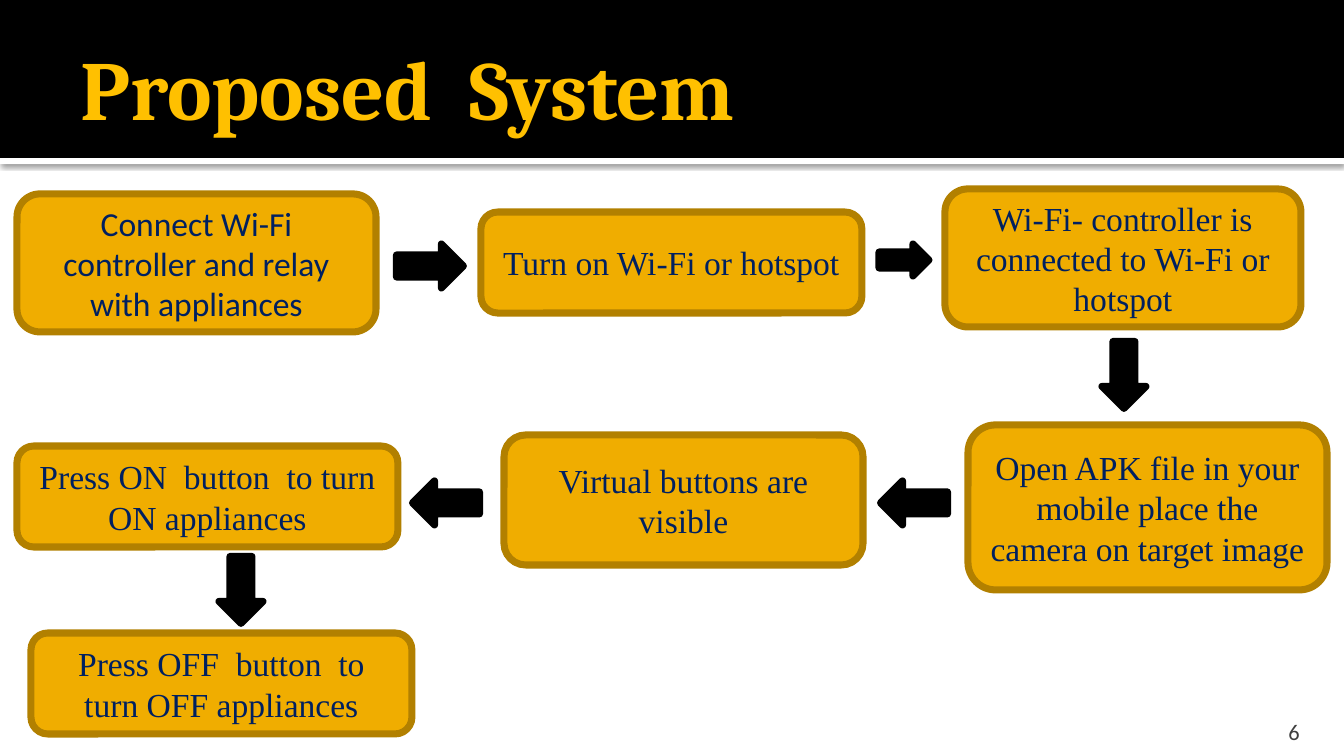
"""Builds the Proposed System flow slide."""
import pptx
import pptx.dml.color
import pptx.enum.shapes
import pptx.enum.text
import pptx.oxml
import pptx.oxml.ns
import pptx.util

RGBColor = pptx.dml.color.RGBColor
SHAPE = pptx.enum.shapes.MSO_SHAPE
ALIGN = pptx.enum.text.PP_ALIGN
ANCHOR = pptx.enum.text.MSO_ANCHOR

PX_PER_INCH = 134.4
BLACK = RGBColor(0x00, 0x00, 0x00)
WHITE = RGBColor(0xFF, 0xFF, 0xFF)
GOLD = RGBColor(0xFF, 0xC0, 0x00)
AMBER = RGBColor(0xF0, 0xAD, 0x00)
BROWN = RGBColor(0xB2, 0x80, 0x00)
NAVY = RGBColor(0x00, 0x20, 0x60)
GREY = RGBColor(0x3F, 0x3F, 0x3F)
SERIF = "Times New Roman"
SANS = "Calibri"

STEPS = [
    ("Connect Wi-Fi controller and relay with appliances", SANS, (17, 194, 359, 138)),
    ("Turn on Wi-Fi or hotspot", SERIF, (481, 212, 381, 101)),
    ("Wi-Fi- controller is connected to Wi-Fi or hotspot", SERIF, (945, 189, 356, 138)),
    ("Open APK file in your mobile place the camera on target image", SERIF, (968, 425, 359, 165)),
    ("Virtual buttons are visible", SERIF, (504, 435, 359, 130)),
    ("Press ON  button  to turn ON appliances", SERIF, (17, 446, 381, 101)),
    ("Press OFF  button  to turn OFF appliances", SERIF, (31, 633, 381, 101)),
]
DOWN, LEFT, RIGHT = 0, 90, 270
LARGE, SMALL = (44, 67), (32, 50)
ARROWS = [
    (430, 266, LARGE, RIGHT),
    (904, 260, SMALL, RIGHT),
    (1124, 375, LARGE, DOWN),
    (914, 503, LARGE, LEFT),
    (446, 503, LARGE, LEFT),
    (241, 590, LARGE, DOWN),
]


def px(length):
    """Turn pixels into EMU."""
    return pptx.util.Emu(round(length * 914400 / PX_PER_INCH))


def write(frame, text, font, size, color, align, anchor, bold=False):
    """Put one formatted run into a text frame."""
    frame.word_wrap = True
    frame.auto_size = pptx.enum.text.MSO_AUTO_SIZE.NONE
    frame.vertical_anchor = anchor
    para = frame.paragraphs[0]
    para.alignment = align
    span = para.add_run()
    span.text = text
    span.font.name = font
    span.font.size = pptx.util.Pt(size)
    span.font.bold = bold
    span.font.color.rgb = color


def add_block(page, kind, area, fill, line=None):
    """Add a flat preset shape, outlined if a line colour is given."""
    block = page.shapes.add_shape(kind, *map(px, area))
    block.shadow.inherit = False
    block.fill.solid()
    block.fill.fore_color.rgb = fill
    if line is None:
        block.line.fill.background()
    else:
        block.line.color.rgb = line
        block.line.width = pptx.util.Pt(3.78)
    return block


def add_shadow(block):
    """Give a shape a soft shadow below it."""
    effects = block.element.spPr.find(pptx.oxml.ns.qn("a:effectLst"))
    effects.append(pptx.oxml.parse_xml(
        f'<a:outerShdw {pptx.oxml.ns.nsdecls("a")} blurRad="31750" dist="10160"'
        ' dir="5400000" algn="t" rotWithShape="0"><a:srgbClr val="000000">'
        '<a:alpha val="60000"/></a:srgbClr></a:outerShdw>'))


def add_header(page, text):
    """Add the black band, its white edge and the title above them."""
    title = page.shapes.title
    edge = add_block(page, SHAPE.RECTANGLE, (0, 158, 1344, 6), WHITE)
    add_shadow(edge)
    band = add_block(page, SHAPE.RECTANGLE, (0, 0, 1344, 158), BLACK)
    for block in (edge, band):
        title.element.addprevious(block.element)
    title.left, title.top, title.width, title.height = map(px, (67, 17, 1210, 139))
    title.text_frame.margin_right = pptx.util.Inches(0.05)
    write(title.text_frame, text, "Cambria", 45, GOLD, ALIGN.LEFT, ANCHOR.MIDDLE, bold=True)


def add_step(page, text, font, area):
    """Add one rounded step of the flow."""
    box = add_block(page, SHAPE.ROUNDED_RECTANGLE, area, AMBER, BROWN)
    write(box.text_frame, text, font, 18, NAVY, ALIGN.CENTER, ANCHOR.MIDDLE)


def add_arrow(page, center_x, center_y, size, turn):
    """Add a block arrow around its centre, turned from pointing down."""
    width, height = size
    area = (center_x - width / 2, center_y - height / 2, width, height)
    arrow = add_block(page, SHAPE.DOWN_ARROW, area, BLACK, BLACK)
    arrow.rotation = turn


def add_page_number(page, number):
    """Add the page number at the lower right."""
    box = page.shapes.add_textbox(*map(px, (1206, 714, 107, 31)))
    box.text_frame.margin_bottom = 0
    write(box.text_frame, number, SANS, 12, GREY, ALIGN.RIGHT, ANCHOR.BOTTOM)


def main():
    """Build and save the deck."""
    deck = pptx.Presentation()
    deck.slide_width, deck.slide_height = px(1344), px(756)
    page = deck.slides.add_slide(deck.slide_layouts[5])
    add_header(page, "Proposed  System")
    add_page_number(page, "6")
    for step in STEPS:
        add_step(page, *step)
    for arrow in ARROWS:
        add_arrow(page, *arrow)
    deck.save("out.pptx")


if __name__ == "__main__":
    main()
